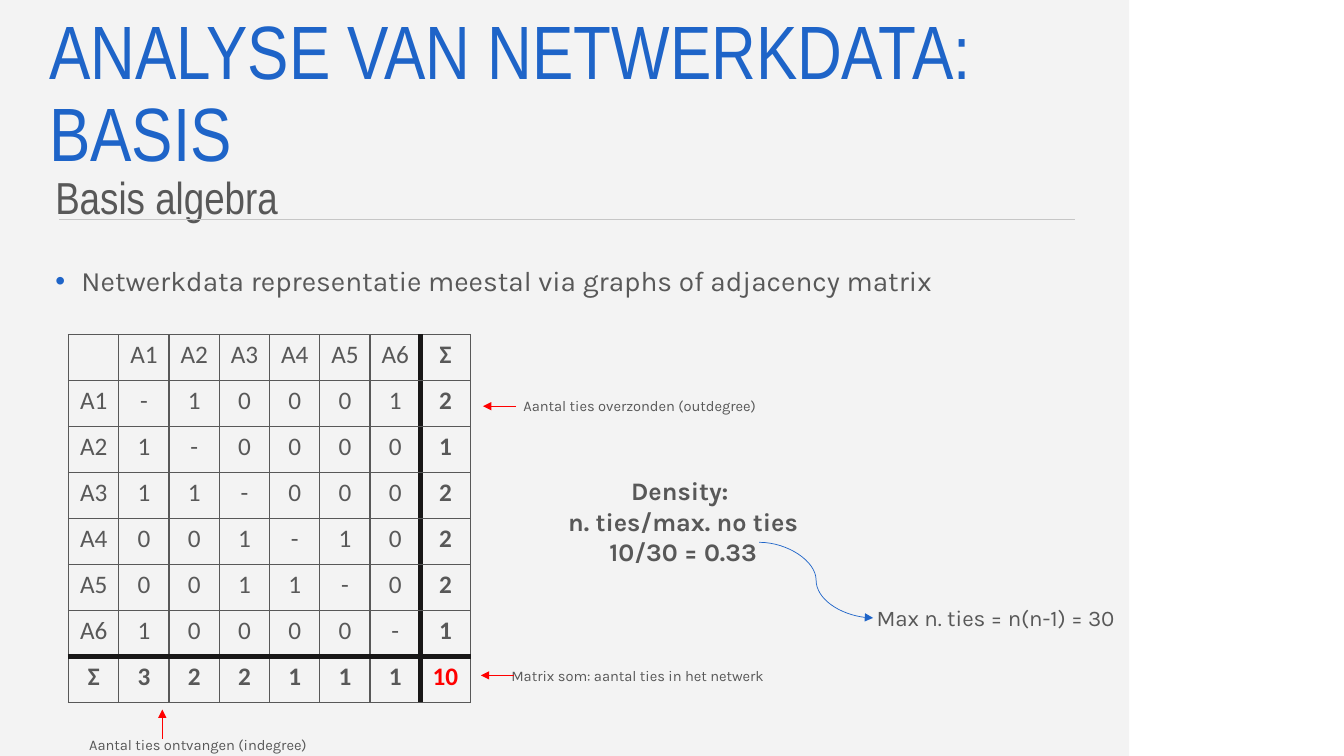
import pptx
import pptx.util
import pptx.dml.color
import pptx.enum.dml
import pptx.enum.shapes
import pptx.enum.text
import pptx.oxml
import pptx.oxml.ns

# Content
TITLE = "ANALYSE VAN NETWERKDATA: BASIS"
SUBTITLE = "Basis algebra"
BULLET = "Netwerkdata representatie meestal via graphs of adjacency matrix"
ACTORS = ["A1", "A2", "A3", "A4", "A5", "A6"]
TIES = ["-10001", "1-0000", "11-000", "001-10", "0011-0", "10000-"]
DENSITY = ["Density: ", "n. ties/max. no ties", "10/30 = 0.33"]

BLUE, GREY, RED, BLACK = "1E64C8", "585858", "FF0000", "181717"
PANEL, RULE = "F3F3F3", "C6C6C6"
LEFT, CENTER = pptx.enum.text.PP_ALIGN.LEFT, pptx.enum.text.PP_ALIGN.CENTER
STRAIGHT = pptx.enum.shapes.MSO_CONNECTOR.STRAIGHT
CURVE = pptx.enum.shapes.MSO_CONNECTOR.CURVE

# Grid: 133.3 columns by 75 rows of a tenth of an inch
COLUMNS, ROWS = 133.3, 75

BODY = {"name": "Karla", "size": 20, "color": GREY}
HEADING = {"name": "Arial Narrow", "size": 54, "color": BLUE}
SUBHEADING = {"name": "Arial Narrow", "size": 32, "color": GREY}
LABEL = {"name": "Karla", "size": 10.5, "color": GREY}
FORMULA = {"name": "Karla", "size": 18, "color": GREY, "bold": True}
MAXIMUM = {"name": "Karla", "size": 16, "color": GREY}
CELL = {"name": "Calibri", "size": 18, "color": GREY, "bold": False}

# Text boxes: lines, place on the grid, format, alignment, line spacing
TEXTS = [
    ([SUBTITLE], (4.5, 15.3, 102, 7.1), SUBHEADING, LEFT, 1.2),
    ([BULLET], (4.5, 25, 102, 48.8), BODY, LEFT, 1.2),
    (["Aantal ties ontvangen (indegree)"], (7.8, 72.5, 23.7, 2.9), LABEL, CENTER, 1),
    (["Aantal ties overzonden (outdegree)"], (49.5, 38.9, 27.9, 2.8), LABEL, CENTER, 1),
    (["Matrix som: aantal ties in het netwerk"], (49.3, 65.7, 27.9, 2.8), LABEL, CENTER, 1),
    (DENSITY, (53.8, 46.7, 27.9, 10.1), FORMULA, CENTER, 1),
    (["Max n. ties = n(n-1) = 30"], (84.8, 59.4, 27.9, 3.7), MAXIMUM, CENTER, 1),
]

# Lines: kind, from and to on the grid, colour, arrowhead
LINES = [
    (STRAIGHT, (5.9, 21.8, 106.6, 21.8), RULE, False),
    (STRAIGHT, (16.1, 73.3, 16.1, 70.4), RED, True),
    (STRAIGHT, (51.2, 40.3, 47.9, 40.3), RED, True),
    (STRAIGHT, (51, 67, 47.7, 67), RED, True),
    (CURVE, (75.3, 53.8, 86.6, 61.3), BLUE, True),
]
MATRIX_PLACE = (6.8, 33.2, 39.9, 36.5)


def grid(*lengths):
    return [pptx.util.Inches(length / 10) for length in lengths]


def rgb(code):
    return pptx.dml.color.RGBColor.from_string(code)


def add_xml(parent, xml, index=None):
    tag, rest = xml.split(" ", 1)
    element = pptx.oxml.parse_xml(f"<a:{tag} {pptx.oxml.ns.nsdecls('a')} {rest}")
    parent.insert(len(parent) if index is None else index, element)


def write(frame, lines, style, align, spacing):
    for number, line in enumerate(lines):
        paragraph = frame.paragraphs[0] if number == 0 else frame.add_paragraph()
        paragraph.text = line
        paragraph.alignment = align
        paragraph.line_spacing = spacing
        if line == BULLET:
            properties = paragraph._p.get_or_add_pPr()
            indent = pptx.util.Inches(0.26)
            properties.set("marL", str(indent))
            properties.set("indent", str(-indent))
            add_xml(properties, f'buClr ><a:srgbClr val="{BLUE}"/></a:buClr>')
            add_xml(properties, 'buFont typeface="Arial"/>')
            add_xml(properties, 'buChar char="•"/>')
        font = paragraph.runs[0].font if paragraph.runs else paragraph.font
        for key, value in style.items():
            if key == "color":
                font.color.rgb = rgb(value)
            else:
                setattr(font, key, pptx.util.Pt(value) if key == "size" else value)


def add_panel(slide):
    panel = slide.shapes.add_shape(
        pptx.enum.shapes.MSO_SHAPE.RECTANGLE, *grid(0, 0, 112, ROWS))
    panel.shadow.inherit = False
    panel.fill.solid()
    panel.fill.fore_color.rgb = rgb(PANEL)
    panel.line.fill.background()
    slide.shapes._spTree.insert(2, panel._element)  # behind the title


def add_title(slide):
    title = slide.shapes.title
    title.left, title.top, title.width, title.height = grid(3.9, 3.6, 102.6, 11.9)
    frame = title.text_frame
    frame.auto_size = pptx.enum.text.MSO_AUTO_SIZE.NONE
    frame.vertical_anchor = pptx.enum.text.MSO_ANCHOR.MIDDLE
    write(frame, [TITLE], HEADING, LEFT, 0.9)


def add_line(slide, kind, ends, color, arrow):
    line = slide.shapes.add_connector(kind, *grid(*ends))
    line.line.color.rgb = rgb(color)
    line.line.width = pptx.util.Pt(0.5)
    if arrow:
        add_xml(line.line._get_or_add_ln(), 'tailEnd type="triangle"/>')
    add_xml(line._element.spPr, "effectLst />")


def matrix_rows():
    """Add the row sums, the column sums and the total."""
    def count(values):
        return str(sum(value == "1" for value in values))

    rows = [["", *ACTORS, "Σ"]]
    rows += [[actor, *ties, count(ties)] for actor, ties in zip(ACTORS, TIES)]
    rows.append(["Σ", *map(count, zip(*TIES)), count("".join(TIES))])
    return rows


def add_matrix(slide):
    rows = matrix_rows()
    size = len(rows)
    last = size - 1
    table = slide.shapes.add_table(size, size, *grid(*MATRIX_PLACE)).table
    table.first_row = table.horz_banding = False
    for i, row in enumerate(rows):
        table.rows[i].height = grid(MATRIX_PLACE[3] / size)[0]
        table.columns[i].width = grid(MATRIX_PLACE[2] / size)[0]
        for j, value in enumerate(row):
            cell = table.cell(i, j)
            cell.fill.background()
            style = {**CELL, "bold": last in (i, j)}
            if i == j == last:
                style["color"] = RED
            write(cell.text_frame, [value], style, CENTER, 1)
            # The sums are set off by a heavy line
            heavy = {"lnL": j == last, "lnR": j == last - 1,
                     "lnT": i == last, "lnB": i == last - 1}
            for place, (side, thick) in enumerate(heavy.items()):
                color, width = (BLACK, 4.5) if thick else (GREY, 1)
                add_xml(cell._tc.get_or_add_tcPr(),
                        f'{side} w="{pptx.util.Pt(width)}"><a:solidFill>'
                        f'<a:srgbClr val="{color}"/></a:solidFill></a:{side}>', place)


def main():
    deck = pptx.Presentation()
    deck.slide_width, deck.slide_height = grid(COLUMNS, ROWS)
    slide = deck.slides.add_slide(deck.slide_layouts[5])
    add_panel(slide)
    add_title(slide)
    add_matrix(slide)
    for lines, place, style, align, spacing in TEXTS:
        frame = slide.shapes.add_textbox(*grid(*place)).text_frame
        frame.word_wrap = True
        write(frame, lines, style, align, spacing)
    for line in LINES:
        add_line(slide, *line)
    deck.save("out.pptx")


if __name__ == "__main__":
    main()
